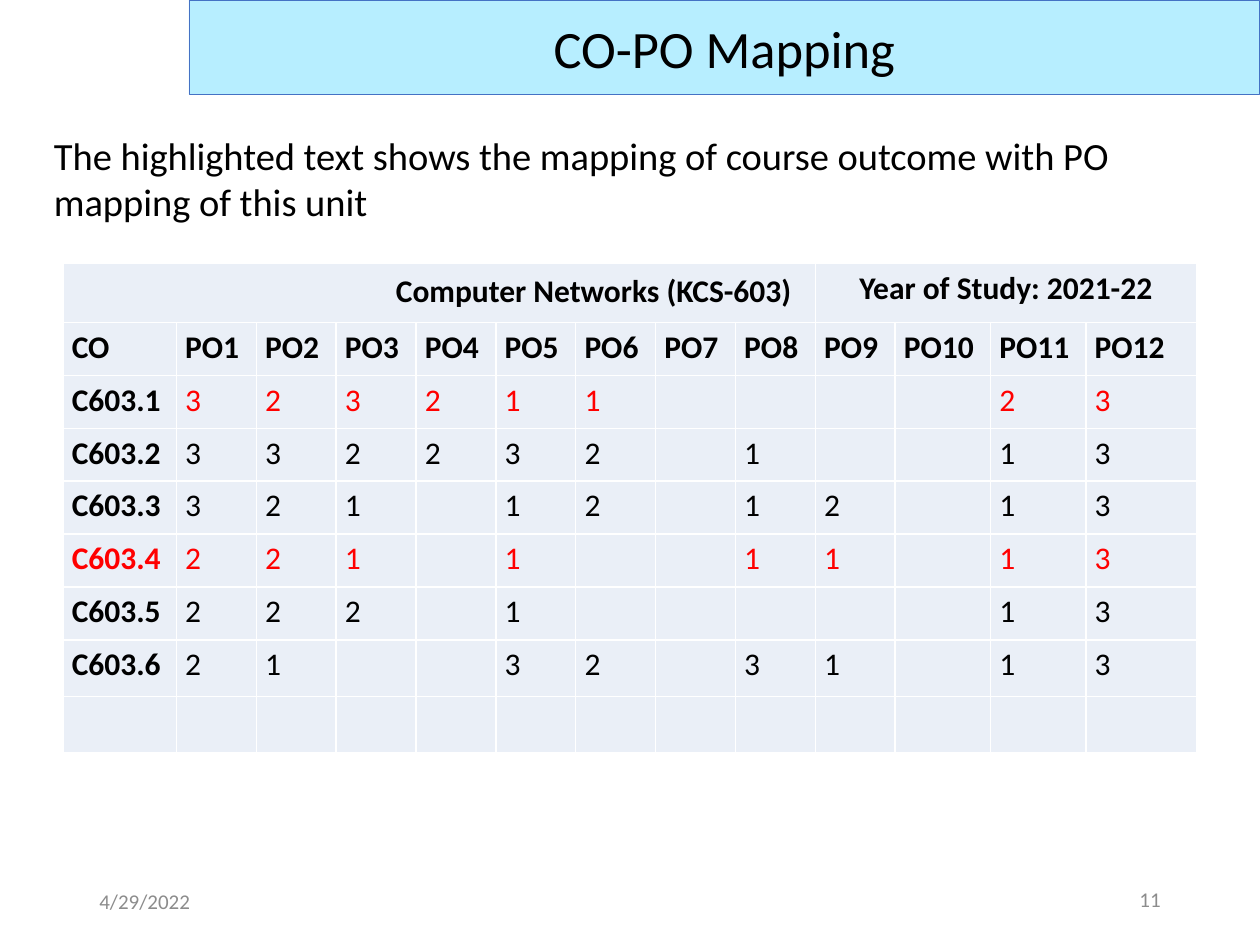
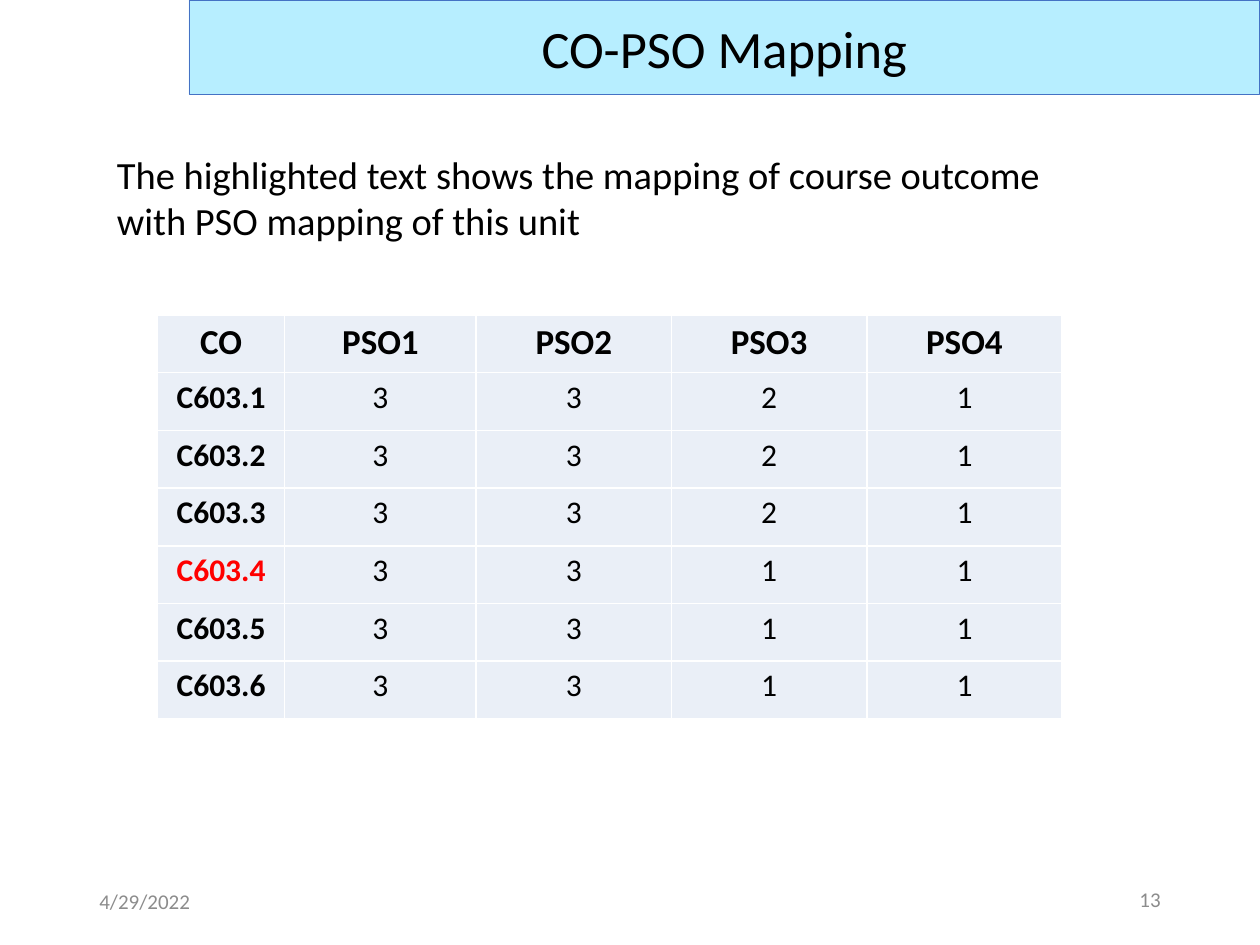
import dataclasses
import lxml.etree
import pptx
import pptx.dml.color
import pptx.enum.shapes
import pptx.enum.text
import pptx.oxml.ns
import pptx.util

Inches = pptx.util.Inches
Pt = pptx.util.Pt
ALIGN = pptx.enum.text.PP_ALIGN
ANCHOR = pptx.enum.text.MSO_ANCHOR


@dataclasses.dataclass(frozen=True)
class Theme:
    font: str = "Calibri"
    ink: str = "000000"
    mark: str = "FF0000"
    grey: str = "8C8C8C"
    band: str = "B7EEFF"
    edge: str = "4472C4"
    cell: str = "EAEFF7"
    rule: str = "FFFFFF"
    title: int = 30
    lead: int = 22
    head: int = 20
    body: int = 18
    foot: int = 12


THEME = Theme()
DATE = "4/29/2022"
LEAD = "The highlighted text shows the mapping of course outcome with {} mapping of this unit"

# Content: "-" is an empty cell; marks give (row, first column, last column) in red
SLIDES = [
    {
        "title": "CO-PO Mapping", "page": "11",
        "lead": LEAD.format("PO"), "box": (0.33, 1, 9.17, 0.84),
        "at": (0.5, 2.09), "align": ALIGN.LEFT, "head": THEME.body,
        "cols": [0.9] + [0.634] * 9 + [0.757] * 2 + [0.88],
        "rows": [0.47] + [0.42] * 6 + [0.45] * 2,
        "spans": [
            (0, 8, "Computer Networks (KCS-603)", ALIGN.RIGHT, 0.19, 0.03),
            (9, 12, "Year of Study: 2021-22", ALIGN.CENTER, 0.07, 0),
        ],
        "cells": [
            "CO PO1 PO2 PO3 PO4 PO5 PO6 PO7 PO8 PO9 PO10 PO11 PO12",
            "C603.1 3 2 3 2 1 1 - - - - 2 3",
            "C603.2 3 3 2 2 3 2 - 1 - - 1 3",
            "C603.3 3 2 1 - 1 2 - 1 2 - 1 3",
            "C603.4 2 2 1 - 1 - - 1 1 - 1 3",
            "C603.5 2 2 2 - 1 - - - - - 1 3",
            "C603.6 2 1 - - 3 2 - 3 1 - 1 3",
            "- - - - - - - - - - - - -",
        ],
        "marks": [(1, 1, 12), (4, 0, 12)],
    },
    {
        "title": "CO-PSO Mapping", "page": "13",
        "lead": LEAD.format("PSO"), "box": (0.83, 1.15, 8.08, 0.84),
        "at": (1.25, 2.5), "align": ALIGN.CENTER, "head": THEME.head,
        "cols": [1.01, 1.52] + [1.55] * 3,
        "rows": [0.458] * 7,
        "spans": [],
        "cells": [
            "CO PSO1 PSO2 PSO3 PSO4",
            "C603.1 3 3 2 1",
            "C603.2 3 3 2 1",
            "C603.3 3 3 2 1",
            "C603.4 3 3 1 1",
            "C603.5 3 3 1 1",
            "C603.6 3 3 1 1",
        ],
        "marks": [(4, 0, 0)],
    },
]


def rgb(code):
    return pptx.dml.color.RGBColor.from_string(code)


def write(frame, text, size, color=THEME.ink, bold=False, align=ALIGN.LEFT):
    para = frame.paragraphs[0]
    para.alignment = align
    run = para.add_run()
    run.text = text
    run.font.name = THEME.font
    run.font.size = Pt(size)
    run.font.bold = bold
    run.font.color.rgb = rgb(color)
    return para


def label(slide, box, text, size, color=THEME.ink, align=ALIGN.LEFT, anchor=ANCHOR.TOP):
    frame = slide.shapes.add_textbox(*map(Inches, box)).text_frame
    frame.word_wrap = True
    frame.vertical_anchor = anchor
    write(frame, text, size, color, align=align)


def frame_page(slide, title, page):
    # Footer
    label(slide, (0.69, 6.95, 1.13, 0.4), DATE, THEME.foot, THEME.grey,
          anchor=ANCHOR.MIDDLE)
    label(slide, (8.69, 6.94, 0.62, 0.4), page, THEME.foot, THEME.grey,
          ALIGN.RIGHT, ANCHOR.MIDDLE)
    # Title band
    kind = pptx.enum.shapes.MSO_SHAPE.RECTANGLE
    band = slide.shapes.add_shape(kind, Inches(1.5), 0, Inches(8.5), Inches(0.75))
    band.shadow.inherit = False
    band.fill.solid()
    band.fill.fore_color.rgb = rgb(THEME.band)
    band.line.color.rgb = rgb(THEME.edge)
    band.line.width = Pt(0.5)
    band.text_frame.vertical_anchor = ANCHOR.MIDDLE
    write(band.text_frame, title, THEME.title, align=ALIGN.CENTER)


def style(cell):
    qn = pptx.oxml.ns.qn
    props = cell._tc.get_or_add_tcPr()
    for side in ("a:lnL", "a:lnR", "a:lnT", "a:lnB"):
        line = lxml.etree.SubElement(props, qn(side), w=str(Pt(1)))
        fill = lxml.etree.SubElement(line, qn("a:solidFill"))
        lxml.etree.SubElement(fill, qn("a:srgbClr"), val=THEME.rule)
    cell.fill.solid()
    cell.fill.fore_color.rgb = rgb(THEME.cell)
    cell.margin_left = cell.margin_right = Inches(0.07)
    cell.margin_top = cell.margin_bottom = 0


def put(cell, text, size, color, bold, align):
    para = write(cell.text_frame, text, size, color, bold, align)
    para.line_spacing = 1.15
    para.space_after = Pt(10)


def add_grid(slide, data):
    cols, rows = data["cols"], data["rows"]
    size = (sum(cols), sum(rows))
    grid = slide.shapes.add_table(
        len(rows), len(cols), *map(Inches, data["at"] + size)).table
    for col, width in zip(grid.columns, cols):
        col.width = Inches(width)
    for row, height in zip(grid.rows, rows):
        row.height = Inches(height)
    for cell in grid.iter_cells():
        style(cell)

    # Merged heading row
    for first, last, text, align, right, top in data["spans"]:
        cell = grid.cell(0, first)
        cell.merge(grid.cell(0, last))
        cell.margin_right, cell.margin_top = Inches(right), Inches(top)
        put(cell, text, THEME.body, THEME.ink, True, align)

    # Column heads and values
    start = 1 if data["spans"] else 0
    for r, line in enumerate(data["cells"]):
        for c, text in enumerate(line.split()):
            if text == "-":
                continue
            red = any(r == m and a <= c <= b for m, a, b in data["marks"])
            put(grid.cell(r + start, c), text,
                data["head"] if r == 0 else THEME.body,
                THEME.mark if red else THEME.ink,
                r == 0 or c == 0, data["align"])


def main():
    deck = pptx.Presentation()
    deck.slide_width, deck.slide_height = Inches(10), Inches(7.5)
    for data in SLIDES:
        slide = deck.slides.add_slide(deck.slide_layouts[6])
        frame_page(slide, data["title"], data["page"])
        label(slide, data["box"], data["lead"], THEME.lead)
        add_grid(slide, data)
    deck.save("out.pptx")


if __name__ == "__main__":
    main()
